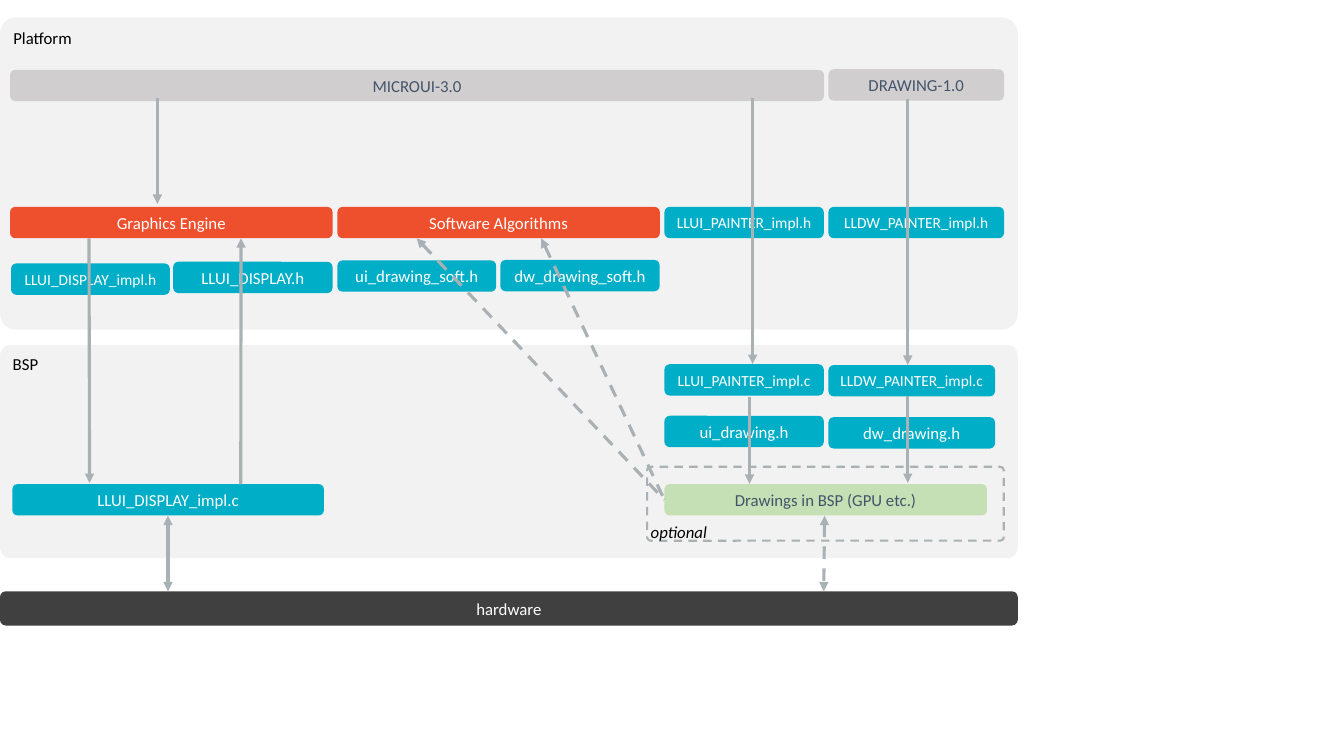
"""Layered diagram of a display stack: platform, board support package and hardware."""
from lxml import etree
from pptx import Presentation
from pptx.dml import color
from pptx.enum import dml, shapes, text
from pptx.oxml import ns
from pptx.util import Pt

FONT = "Calibri"
PANEL, GREY, ORANGE, BLUE = "F2F2F2", "D0CECE", "EE502E", "00AEC7"
GREEN, DARK, LINE = "C5E0B4", "404040", "A9B1B5"
WHITE, SLATE, BLACK = "FFFFFF", "44546A", "000000"
BAR_HEIGHT = 22.4
FLAT_CORNER = 0.051

BARS = [
    ("MICROUI-3.0", 7.2, 49.9, 581.4, GREY, SLATE, 12),
    ("DRAWING-1.0", 591.8, 49.5, 125.4, GREY, SLATE, 12),
    ("Graphics Engine", 7.2, 147.8, 230.4, ORANGE, WHITE, 12),
    ("Software Algorithms", 241, 147.8, 230.4, ORANGE, WHITE, 12),
    ("LLUI_PAINTER_impl.h", 474.6, 147.8, 113.8, BLUE, WHITE, 11),
    ("LLDW_PAINTER_impl.h", 591.8, 147.8, 125.4, BLUE, WHITE, 11),
    ("LLUI_DISPLAY_impl.h", 7.9, 188.2, 113.4, BLUE, WHITE, 11),
    ("LLUI_DISPLAY.h", 123.7, 187, 113.8, BLUE, WHITE, 12),
    ("ui_drawing_soft.h", 241, 186, 113.4, BLUE, WHITE, 12),
    ("dw_drawing_soft.h", 357.4, 185.7, 113.8, BLUE, WHITE, 12),
    ("LLUI_PAINTER_impl.c", 474.6, 260.2, 113.8, BLUE, WHITE, 11),
    ("LLDW_PAINTER_impl.c", 591.8, 260.8, 119, BLUE, WHITE, 11),
    ("ui_drawing.h", 474.6, 297, 113.8, BLUE, WHITE, 12),
    ("dw_drawing.h", 591.8, 298, 119, BLUE, WHITE, 12),
    ("LLUI_DISPLAY_impl.c", 8.8, 345.8, 222.6, BLUE, WHITE, 12),
    ("Drawings in BSP (GPU etc.)", 474.6, 345.8, 230.4, GREEN, SLATE, 12),
]

ARROWS = [
    ((537.6, 260), (537.6, 70), False, False),
    ((648.4, 260.6), (648.4, 70.6), False, False),
    ((535.4, 345.6), (535.4, 283.4), False, False),
    ((648.4, 345), (648.4, 283), False, False),
    ((297.6, 170.2), (474.6, 357), True, False),
    ((386.6, 170.2), (474.6, 357), True, False),
    ((64, 345), (63.6, 170.2), False, False),
    ((589, 368.4), (588.4, 422.4), True, True),
    ((120, 368.4), (120, 422.4), False, True),
    ((172.2, 170.2), (172, 346), False, False),
    ((112.4, 145.6), (112.4, 70), False, False),
]


def rgb(value):
    """Turn a hex string into a colour."""
    return color.RGBColor.from_string(value)


def style_text(frame, words, size, ink, italic=False):
    """Write one centred paragraph in the diagram font."""
    para = frame.paragraphs[0]
    para.text = words
    para.alignment = text.PP_ALIGN.CENTER
    para.font.name = FONT
    para.font.size = Pt(size)
    para.font.color.rgb = rgb(ink)
    if italic:
        para.font.italic = True


def add_box(page, left, top, width, height, fill=None, corner=None):
    """Add a rounded box, filled or empty, without outline."""
    box = page.shapes.add_shape(shapes.MSO_SHAPE.ROUNDED_RECTANGLE,
                                Pt(left), Pt(top), Pt(width), Pt(height))
    box.shadow.inherit = False
    if corner is not None:
        box.adjustments[0] = corner
    if fill:
        box.fill.solid()
        box.fill.fore_color.rgb = rgb(fill)
    else:
        box.fill.background()
    box.line.fill.background()
    return box


def add_bar(page, words, left, top, width, fill, ink, size, height=BAR_HEIGHT):
    """Add a rounded bar with a centred caption."""
    box = add_box(page, left, top, width, height, fill)
    box.text_frame.word_wrap = True
    box.text_frame.vertical_anchor = text.MSO_ANCHOR.MIDDLE
    style_text(box.text_frame, words, size, ink)


def add_label(page, words, left, top, width, italic=False):
    """Add a small unwrapped caption."""
    box = page.shapes.add_textbox(Pt(left), Pt(top), Pt(width), Pt(21.8))
    box.text_frame.word_wrap = False
    box.text_frame.auto_size = text.MSO_AUTO_SIZE.SHAPE_TO_FIT_TEXT
    style_text(box.text_frame, words, 12, BLACK, italic)


def style_line(line, width, dashed):
    """Give a line the diagram's grey, a width and optional dashes."""
    line.color.rgb = rgb(LINE)
    line.width = Pt(width)
    if dashed:
        line.dash_style = dml.MSO_LINE.DASH


def add_arrow(page, tip, origin, dashed, double):
    """Add a straight arrow with its head at tip, and at origin if double."""
    arrow = page.shapes.add_connector(shapes.MSO_CONNECTOR.STRAIGHT,
                                      *(Pt(value) for value in tip + origin))
    style_line(arrow.line, 2.25, dashed)
    outline = arrow.line._get_or_add_ln()
    for end in ("a:headEnd", "a:tailEnd")[:2 if double else 1]:
        etree.SubElement(outline, ns.qn(end), type="triangle")
    etree.SubElement(arrow._element.spPr, ns.qn("a:effectLst"))


def main():
    """Build the slide and save it."""
    deck = Presentation()
    deck.slide_width, deck.slide_height = Pt(960), Pt(540)
    page = deck.slides.add_slide(deck.slide_layouts[6])
    for top, height in ((12.4, 223), (246.4, 152.4)):
        add_box(page, 0, top, 727, height, PANEL, FLAT_CORNER)
    for bar in BARS:
        add_bar(page, *bar)
    add_bar(page, "hardware", 0, 422.4, 727, DARK, WHITE, 12, 24.4)
    for arrow in ARROWS:
        add_arrow(page, *arrow)
    optional = add_box(page, 462.2, 333.4, 254.8, 52.8, corner=FLAT_CORNER)
    style_line(optional.line, 1.5, True)
    add_label(page, "Platform", 2, 16, 56.8)
    add_label(page, "BSP", 2, 249.4, 32.4)
    add_label(page, "optional", 457.2, 368.8, 55.4, italic=True)
    deck.save("out.pptx")


if __name__ == "__main__":
    main()
